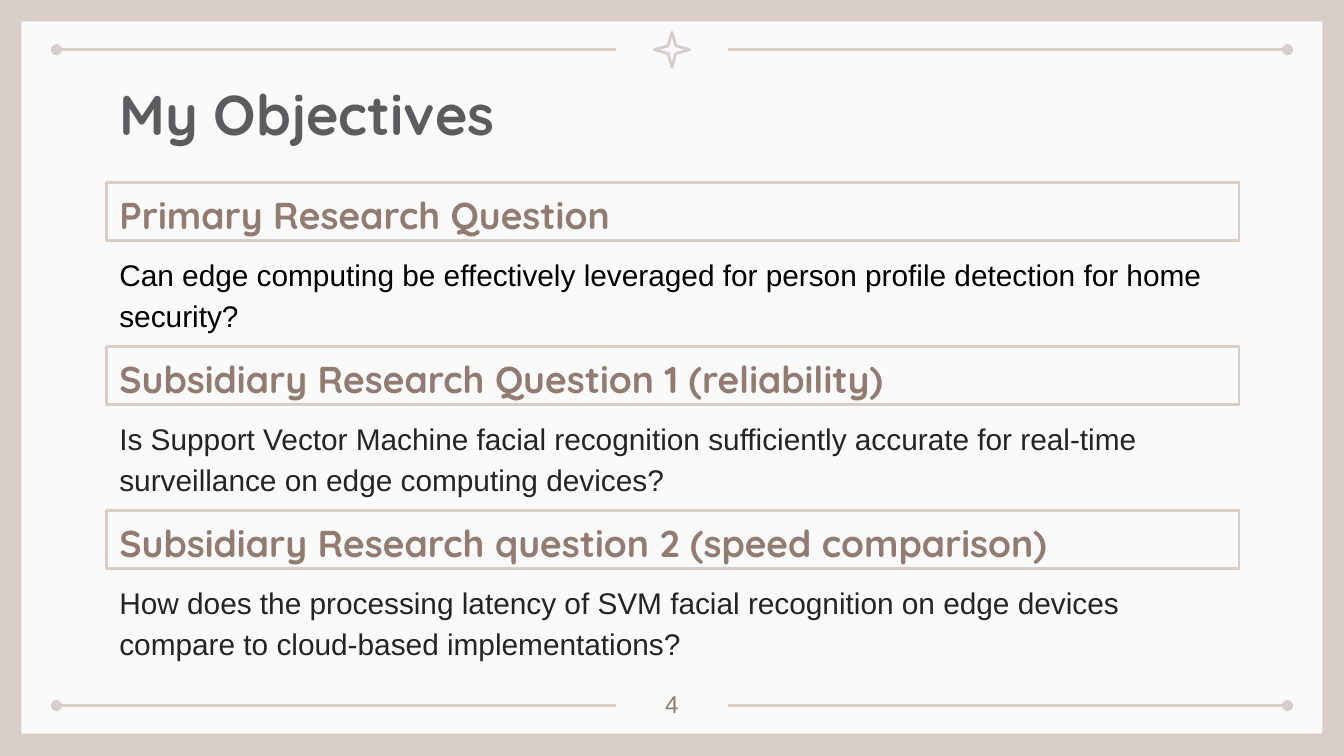
from lxml import etree
from pptx import Presentation
from pptx.dml.color import RGBColor
from pptx.enum.shapes import MSO_CONNECTOR, MSO_SHAPE
from pptx.enum.text import MSO_ANCHOR, PP_ALIGN
from pptx.oxml.ns import qn
from pptx.util import Inches, Pt

RECT, STAR = MSO_SHAPE.RECTANGLE, MSO_SHAPE.STAR_4_POINT
STRAIGHT = MSO_CONNECTOR.STRAIGHT
TOP, MIDDLE = MSO_ANCHOR.TOP, MSO_ANCHOR.MIDDLE
LEFT, CENTER = PP_ALIGN.LEFT, PP_ALIGN.CENTER

SAND = RGBColor(0xD8, 0xCE, 0xC9)
PAPER = RGBColor(0xFA, 0xFA, 0xFA)
GREY = RGBColor(0x5C, 0x5C, 0x5F)
BROWN = RGBColor(0x92, 0x7C, 0x71)
BLACK = RGBColor(0x00, 0x00, 0x00)
INK = RGBColor(0x24, 0x24, 0x24)

TITLE = {"name": "Quicksand", "size": Pt(30), "bold": True}
HEADING = {"name": "Quicksand", "size": Pt(20), "bold": True}
BODY = {"name": "Arial", "size": Pt(16)}
NUMBER = {"name": "Arial", "size": Pt(13)}

MARGIN, WIDTH = 0.79, 8.43
FIRST_TOP, STEP, BODY_OFFSET = 1.36, 1.22, 0.41
QUESTIONS = [
    ("Primary Research Question",
     "Can edge computing be effectively leveraged for person profile "
     "detection for home security?", BLACK, 8.84, 0.58),
    ("Subsidiary Research Question 1 (reliability)",
     "Is Support Vector Machine facial recognition sufficiently accurate "
     "for real-time surveillance on edge computing devices?",
     INK, WIDTH, 0.63),
    ("Subsidiary Research question 2 (speed comparison)",
     "How does the processing latency of SVM facial recognition on edge "
     "devices compare to cloud-based implementations?",
     INK, WIDTH, 0.82),
]


def set_text(s, text, font, color, anchor=TOP, align=LEFT, spacing=1.0):
    tf = s.text_frame
    tf.word_wrap = True
    tf.vertical_anchor = anchor
    for side in ("left", "top", "right", "bottom"):
        setattr(tf, f"margin_{side}", Inches(0.1))
    p = tf.paragraphs[0]
    p.alignment = align
    p.line_spacing = spacing
    r = p.add_run()
    r.text = text
    for name, value in font.items():
        setattr(r.font, name, value)
    r.font.color.rgb = color


def add_text(s, box, text, font, color, **layout):
    sp = s.shapes.add_textbox(*map(Inches, box))
    set_text(sp, text, font, color, **layout)


def add_shape(s, kind, box, fill=None, line=None):
    sp = s.shapes.add_shape(kind, *map(Inches, box))
    sp.shadow.inherit = False
    if fill is None:
        sp.fill.background()
    else:
        sp.fill.solid()
        sp.fill.fore_color.rgb = fill
    if line is None:
        sp.line.fill.background()
    else:
        sp.line.color.rgb = line
        sp.line.width = Pt(1.5)
    return sp


def add_rule(s, x1, x2, y, dot_end):
    c = s.shapes.add_connector(STRAIGHT, *map(Inches, (x1, y, x2, y)))
    c.line.color.rgb = SAND
    c.line.width = Pt(1.5)
    etree.SubElement(c.line._get_or_add_ln(), qn(f"a:{dot_end}"), type="oval")
    etree.SubElement(c._element.spPr, qn("a:effectLst"))


def add_frame(s):
    add_shape(s, RECT, (0.16, 0.16, 9.68, 5.3), fill=PAPER)
    for y in (0.37, 5.25):
        add_rule(s, 0.42, 4.58, y, "headEnd")
        add_rule(s, 5.42, 9.58, y, "tailEnd")
    star = add_shape(s, STAR, (4.87, 0.24, 0.26, 0.26), line=SAND)
    star.adjustments[0] = 0.157


def add_question(s, top, heading, question, color, width, height):
    add_text(s, (MARGIN, top + BODY_OFFSET, width, height), question, BODY,
             color, spacing=1.15)
    sp = add_shape(s, RECT, (MARGIN, top, WIDTH, 0.43), line=SAND)
    set_text(sp, heading, HEADING, BROWN, anchor=MIDDLE, spacing=1.15)


def main():
    prs = Presentation()
    prs.slide_width = Inches(10)
    prs.slide_height = prs.slide_width * 9 // 16
    s = prs.slides.add_slide(prs.slide_layouts[6])
    s.background.fill.solid()
    s.background.fill.fore_color.rgb = SAND
    add_frame(s)
    add_text(s, (MARGIN, 0.49, WIDTH, 0.63), "My Objectives", TITLE, GREY)
    for i, question in enumerate(QUESTIONS):
        add_question(s, FIRST_TOP + i * STEP, *question)
    add_text(s, (4.7, 5.03, 0.6, 0.36), "4", NUMBER, BROWN, align=CENTER)
    prs.save("out.pptx")


if __name__ == "__main__":
    main()
